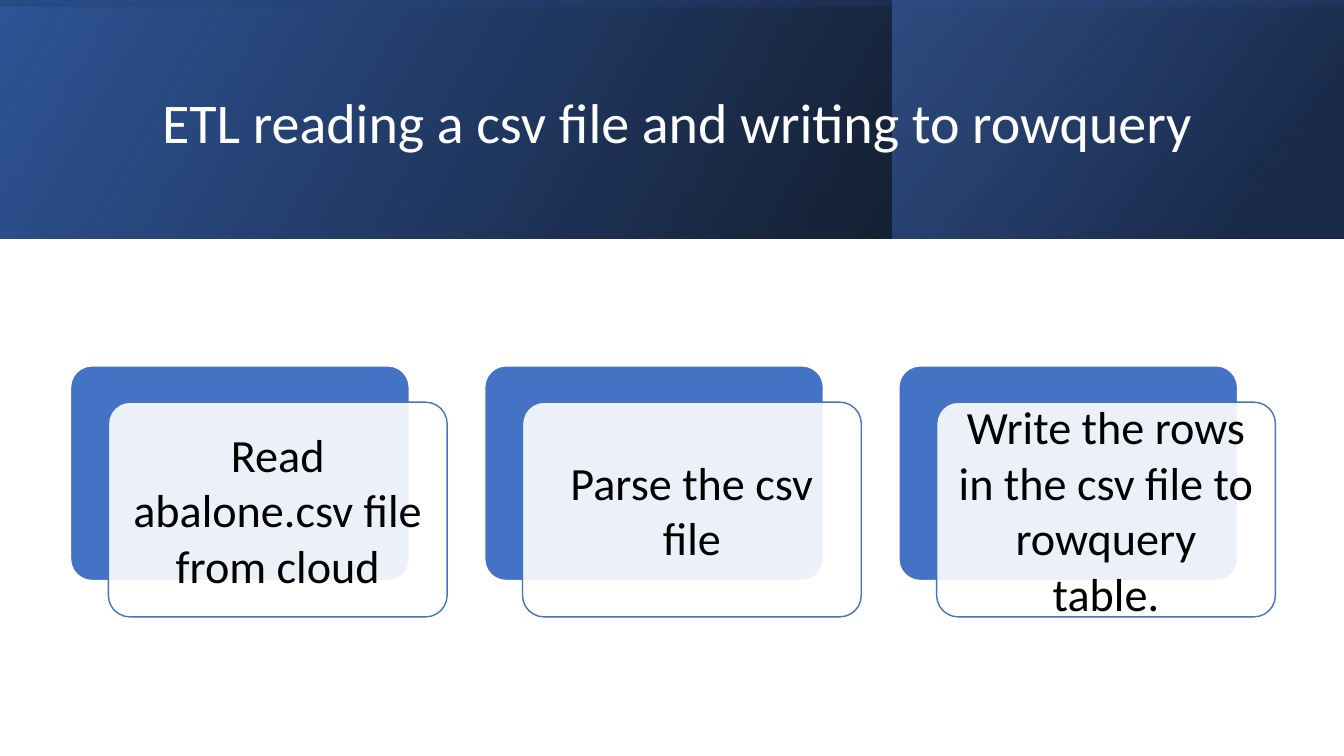
from dataclasses import dataclass

from lxml import etree
from pptx import Presentation
from pptx.dml.color import RGBColor
from pptx.enum import shapes, text
from pptx.oxml.ns import qn
from pptx.util import Inches, Pt


@dataclass(frozen=True)
class Theme:
    font: str = "Calibri"
    title_size: int = 40
    step_size: int = 33
    white: str = "FFFFFF"
    black: str = "000000"
    blue: str = "4472C4"
    deep_blue: str = "2F5597"
    navy: str = "203864"


THEME = Theme()
SLIDE_W, SLIDE_H = 13.33, 7.5
TITLE = "ETL reading a csv file and writing to rowquery"
STEPS = (
    "Read abalone.csv file from cloud",
    "Parse the csv file",
    "Write the rows in the csv file to rowquery table.",
)


def set_alphas(shape, *percents):
    """Give the fill colours of a shape, in order, their opacity."""
    for colour, percent in zip(shape._element.spPr.iter(qn("a:srgbClr")), percents):
        etree.SubElement(colour, qn("a:alpha")).set("val", str(percent * 1000))


def add_block(slide, kind, left, top, width, height):
    block = slide.shapes.add_shape(
        kind, Inches(left), Inches(top), Inches(width), Inches(height))
    block.shadow.inherit = False
    return block


def write_text(shape, words, size, colour, align, inset=(0.1, 0.05), spacing=1.0):
    frame = shape.text_frame
    frame.word_wrap = True
    frame.vertical_anchor = text.MSO_ANCHOR.MIDDLE
    frame.margin_left = frame.margin_right = Inches(inset[0])
    frame.margin_top = frame.margin_bottom = Inches(inset[1])
    paragraph = frame.paragraphs[0]
    paragraph.alignment = align
    paragraph.line_spacing = spacing
    run = paragraph.add_run()
    run.text = words
    run.font.name = THEME.font
    run.font.size = Pt(size)
    run.font.color.rgb = RGBColor.from_string(colour)


def add_gradient_panel(slide, left, top, width, height, stops, angle, rotation=0):
    """Add a mirrored panel; stops are (position, colour, opacity), angle is clockwise."""
    panel = add_block(slide, shapes.MSO_SHAPE.RECTANGLE, left, top, width, height)
    panel.rotation = rotation
    panel._element.spPr.xfrm.set("flipH", "1")
    panel.line.fill.background()
    panel.fill.gradient()
    panel.fill.gradient_angle = 360 - angle
    for stop, (position, colour, _) in zip(panel.fill.gradient_stops, stops):
        stop.position = position / 100
        stop.color.rgb = RGBColor.from_string(colour)
    set_alphas(panel, *(opacity for _, _, opacity in stops))


def add_header(slide, left, top, width, height):
    add_gradient_panel(slide, left, top, width, height,
                       [(0, THEME.black, 96), (100, THEME.deep_blue, 100)], 330)
    accent_w = 4.48
    add_gradient_panel(slide, left + width - accent_w, top, accent_w, height,
                       [(19, THEME.navy, 68), (100, THEME.blue, 48)], 320)
    # A quarter turn about the centre makes this upright panel cover the band.
    shift = (width - height) / 2
    add_gradient_panel(slide, left + shift, top - shift, height, width,
                       [(23, THEME.deep_blue, 16), (99, THEME.black, 45)], 350, 270)
    title = slide.shapes.add_textbox(
        Inches(left + 1.51), Inches(top + 0.38), Inches(10.63), Inches(1.72))
    write_text(title, TITLE, THEME.title_size, THEME.white,
               text.PP_ALIGN.LEFT, spacing=0.9)


def add_card(slide, left, top, width, height, fill, line):
    card = add_block(slide, shapes.MSO_SHAPE.ROUNDED_RECTANGLE, left, top, width, height)
    card.adjustments[0] = 0.1
    card.fill.solid()
    card.fill.fore_color.rgb = RGBColor.from_string(fill)
    card.line.color.rgb = RGBColor.from_string(line)
    card.line.width = Pt(1)
    return card


def add_steps(slide, left, top, width, height):
    """Spread the steps evenly, each a text card in front of a blue one."""
    offset_x, offset_y = 0.375, 0.36
    card_w, card_h = 3.36, height - offset_y
    pitch = (width - card_w - offset_x) / (len(STEPS) - 1)
    for index, step in enumerate(STEPS):
        x = left + index * pitch
        add_card(slide, x, top, card_w, card_h, THEME.blue, THEME.white)
        front = add_card(slide, x + offset_x, top + offset_y, card_w, card_h,
                         THEME.white, THEME.blue)
        set_alphas(front, 90)
        write_text(front, step, THEME.step_size, THEME.black,
                   text.PP_ALIGN.CENTER, inset=(0.14, 0.14))


def main():
    deck = Presentation()
    deck.slide_width, deck.slide_height = Inches(SLIDE_W), Inches(SLIDE_H)
    slide = deck.slides.add_slide(deck.slide_layouts[6])
    add_header(slide, 0, 0, SLIDE_W, 2.37)
    add_steps(slide, 0.7, 3.63, 11.95, 2.49)
    deck.save("out.pptx")


if __name__ == "__main__":
    main()
